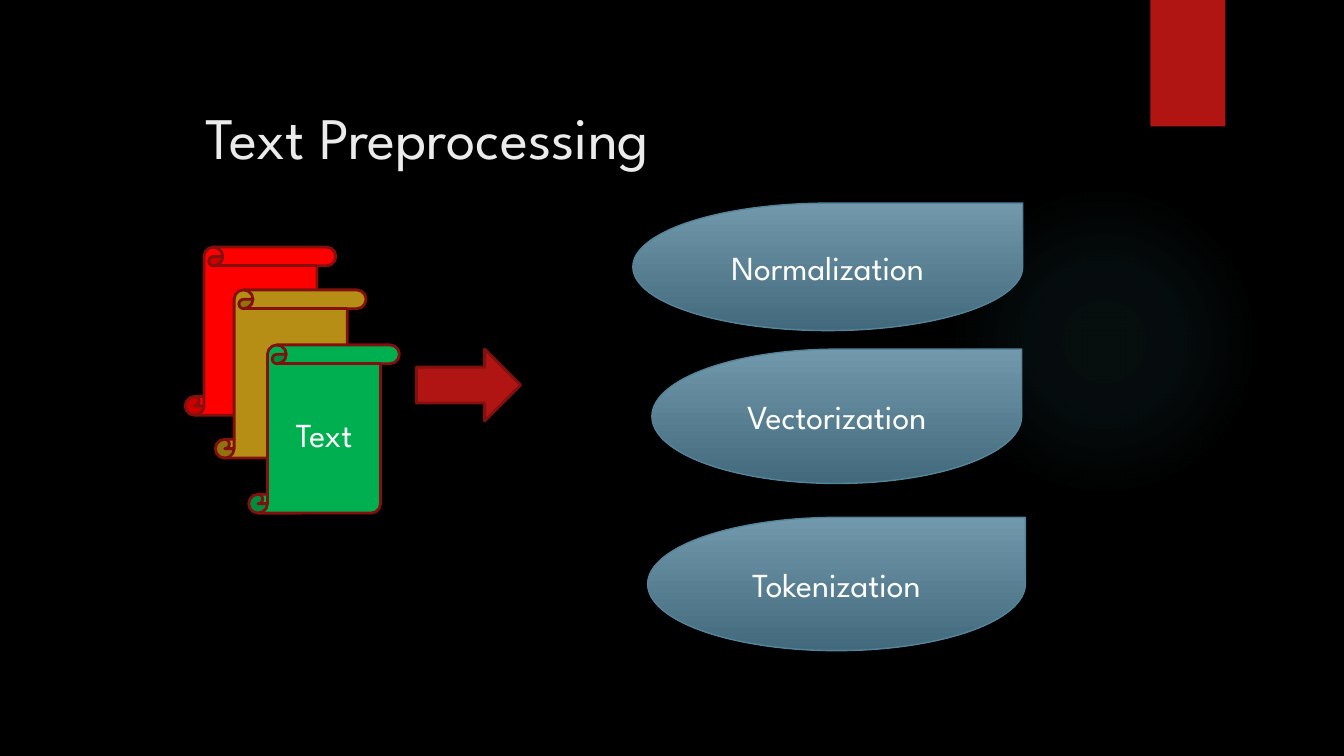
from lxml import etree
from pptx import Presentation
from pptx.dml.color import RGBColor
from pptx.enum.shapes import MSO_SHAPE
from pptx.enum.text import MSO_ANCHOR, PP_ALIGN
from pptx.oxml import parse_xml
from pptx.oxml.ns import nsdecls, qn
from pptx.util import Cm, Pt

ELLIPSE = MSO_SHAPE.OVAL
RECTANGLE = MSO_SHAPE.RECTANGLE
SCROLL = MSO_SHAPE.VERTICAL_SCROLL
ARROW = MSO_SHAPE.RIGHT_ARROW
TEARDROP = MSO_SHAPE.TEAR
TOP, MIDDLE = MSO_ANCHOR.TOP, MSO_ANCHOR.MIDDLE
LEFT, CENTER = PP_ALIGN.LEFT, PP_ALIGN.CENTER

BLACK = RGBColor(0x00, 0x00, 0x00)
WHITE = RGBColor(0xFF, 0xFF, 0xFF)
TITLE_GRAY = RGBColor(0xEB, 0xEB, 0xEB)
CRIMSON = RGBColor(0xB0, 0x15, 0x13)
DARK_RED = RGBColor(0x82, 0x10, 0x0E)
RED = RGBColor(0xFF, 0x00, 0x00)
GOLD = RGBColor(0xB6, 0x8E, 0x15)
GREEN = RGBColor(0x00, 0xB0, 0x50)
STEEL_LIGHT = RGBColor(0x71, 0x98, 0xAB)
STEEL_DARK = RGBColor(0x43, 0x6A, 0x7C)
STEEL_LINE = RGBColor(0x54, 0x84, 0x9A)
GLOW_TEAL = RGBColor(0x50, 0xB9, 0xC1)
FONT = "League Spartan"


def lengths(box):
    return [Cm(value) for value in box]


def add_label(shape, text, size=18, color=WHITE, align=CENTER, anchor=MIDDLE):
    frame = shape.text_frame
    frame.word_wrap = True
    frame.vertical_anchor = anchor
    para = frame.paragraphs[0]
    para.alignment = align
    span = para.add_run()
    span.text = text
    span.font.name = FONT
    span.font.size = Pt(size)
    span.font.color.rgb = color


def add_figure(page, kind, box, fill=None, line=None, weight=1.5):
    shape = page.shapes.add_shape(kind, *lengths(box))
    shape.shadow.inherit = False
    if fill is not None:
        shape.fill.solid()
        shape.fill.fore_color.rgb = fill
    if line is None:
        shape.line.fill.background()
    else:
        shape.line.color.rgb = line
        shape.line.width = Pt(weight)
    return shape


def add_glow(page, box):
    glow = add_figure(page, ELLIPSE, box)
    glow.fill.gradient()
    gradient = glow.fill._xPr.find(qn("a:gradFill"))
    for child in list(gradient):
        gradient.remove(child)
    stops = etree.SubElement(gradient, qn("a:gsLst"))
    for position, opacity in ((0, 7), (36, 6), (69, 0)):
        stops.append(parse_xml(
            f'<a:gs {nsdecls("a")} pos="{position * 1000}">'
            f'<a:srgbClr val="{GLOW_TEAL}"><a:alpha val="{opacity * 1000}"/>'
            '</a:srgbClr></a:gs>'))
    gradient.append(parse_xml(
        f'<a:path {nsdecls("a")} path="circle">'
        '<a:fillToRect l="50000" t="50000" r="50000" b="50000"/></a:path>'))


def add_title(page, box, text):
    title = page.shapes.add_textbox(*lengths(box))
    frame = title.text_frame
    frame.margin_left = frame.margin_right = Cm(0.25)
    frame.margin_top = frame.margin_bottom = Cm(0.25)
    add_label(title, text, 31.5, TITLE_GRAY, LEFT, TOP)


def add_scrolls(page, box):
    left, top, width, height = box
    sheets = ((0, 0, RED), (0.57, 0.81, GOLD), (1.2, 1.85, GREEN))
    for across, down, color in sheets:
        sheet = add_figure(page, SCROLL, (left + across, top + down, width - 1.2, height - 1.85),
                           color, DARK_RED)
    add_label(sheet, "Text")


def add_steps(page, box):
    left, top, width, height = box
    steps = (
        ("Normalization", 0, 0, 7.37, 2.41),
        ("Vectorization", 0.36, 2.76, 6.99, 2.54),
        ("Tokenization", 0.28, 5.94, width - 0.28, height - 5.94),
    )
    for text, across, down, wide, high in steps:
        step = add_figure(page, TEARDROP, (left + across, top + down, wide, high),
                          line=STEEL_LINE, weight=0.75)
        step.fill.gradient()
        step.fill.gradient_angle = 270
        for stop, color in zip(step.fill.gradient_stops, (STEEL_LIGHT, STEEL_DARK)):
            stop.color.rgb = color
        add_label(step, text)


def main():
    deck = Presentation()
    deck.slide_width, deck.slide_height = Cm(25.4), Cm(14.29)
    page = deck.slides.add_slide(deck.slide_layouts[6])
    page.background.fill.solid()
    page.background.fill.fore_color.rgb = BLACK
    add_glow(page, (17.93, 3.51, 5.87, 5.87))
    add_figure(page, RECTANGLE, (21.74, 0, 1.42, 2.39), CRIMSON)
    add_title(page, (3.63, 1.65, 19.53, 2.77), "Text Preprocessing")
    add_scrolls(page, (3.5, 4.67, 4.05, 5.03))
    add_figure(page, ARROW, (7.87, 6.6, 1.97, 1.36), CRIMSON, DARK_RED)
    add_steps(page, (11.96, 3.84, 7.42, 8.46))
    deck.save("out.pptx")


if __name__ == "__main__":
    main()
